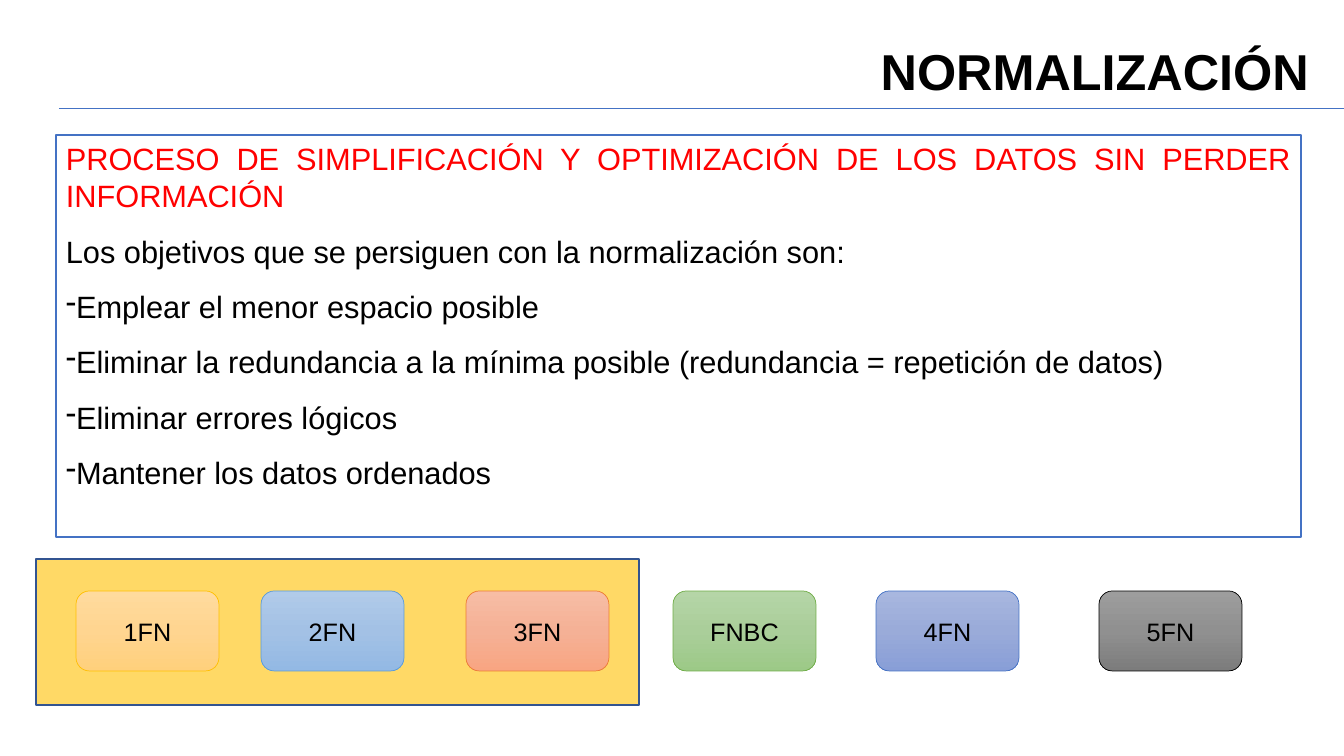
import copy

import pptx
import pptx.dml.color
import pptx.enum.shapes
import pptx.enum.text
import pptx.oxml
import pptx.oxml.ns
import pptx.util

SCALE = 914400 / 100.8
SHAPES = pptx.enum.shapes.MSO_SHAPE
ALIGN = pptx.enum.text.PP_ALIGN
ANCHOR = pptx.enum.text.MSO_ANCHOR

OBJECTIVES = [
    "Emplear el menor espacio posible",
    "Eliminar la redundancia a la mínima posible (redundancia = repetición de datos)",
    "Eliminar errores lógicos",
    "Mantener los datos ordenados",
]
NORMAL_FORMS = [
    ("1FN", 40, ("FFDB9E", "FFD590", "FFD07C"), "FFC000"),
    ("2FN", 225, ("B1CBE9", "A3C1E5", "93B9E4"), "5B9BD5"),
    ("3FN", 430, ("F7BDA5", "F5B196", "F8A582"), "ED7D31"),
    ("FNBC", 637, ("B5D5A7", "AACE9A", "9CC987"), "70AD47"),
    ("4FN", 840, ("A8B7DF", "9AABD9", "889ED7"), "4472C4"),
    ("5FN", 1063, ("9D9D9D", "909090", "7C7C7C"), "000000"),
]


def px(pixels):
    """Turn pixels into EMU."""
    return pptx.util.Emu(round(pixels * SCALE))


def color(value):
    """Turn a hex string into a colour."""
    return pptx.dml.color.RGBColor.from_string(value)


def add_box(slide, box, fill, line=None, width=1, kind=SHAPES.RECTANGLE):
    """Add a shape with a solid fill, or a vertical gradient for three colours."""
    shape = slide.shapes.add_shape(kind, *map(px, box))
    shape.shadow.inherit = False
    if isinstance(fill, str):
        shape.fill.solid()
        shape.fill.fore_color.rgb = color(fill)
    else:
        shape.fill.gradient()
        shape.fill.gradient_angle = 270
        first = shape.element.spPr.find(".//" + pptx.oxml.ns.qn("a:gs"))
        first.addnext(copy.deepcopy(first))
        for index, (stop, shade) in enumerate(zip(shape.fill.gradient_stops, fill)):
            stop.position = index / 2
            stop.color.rgb = color(shade)
    if line:
        shape.line.color.rgb = color(line)
        shape.line.width = pptx.util.Pt(width)
    else:
        shape.line.fill.background()
    return shape


def write(paragraph, text, size, align=ALIGN.LEFT, ink="000000", spacing=1.0, bold=False):
    """Fill a paragraph with one formatted run."""
    paragraph.alignment = align
    paragraph.line_spacing = spacing
    run = paragraph.add_run()
    run.text = text
    run.font.name = "Arial"
    run.font.size = pptx.util.Pt(size)
    run.font.bold = bold
    run.font.color.rgb = color(ink)


def add_heading(slide, box):
    """Add the right-aligned title and the rule beneath it."""
    left, top, width, height = box
    title = add_box(slide, box, "FFFFFF").text_frame
    title.vertical_anchor = ANCHOR.MIDDLE
    write(title.paragraphs[0], "NORMALIZACIÓN", 36, ALIGN.RIGHT, spacing=0.9, bold=True)
    rule_y = px(top + height - 1)
    rule = slide.shapes.add_connector(
        pptx.enum.shapes.MSO_CONNECTOR.STRAIGHT, px(left - 3), rule_y, px(1344), rule_y)
    rule.line.color.rgb = color("4472C4")
    rule.line.width = pptx.util.Pt(0.5)
    rule.element.spPr.append(pptx.oxml.parse_xml(
        "<a:effectLst %s/>" % pptx.oxml.ns.nsdecls("a")))


def add_objectives(slide, box):
    """Add the definition and the list of objectives."""
    frame = add_box(slide, box, "FFFFFF", "4472C4").text_frame
    frame.vertical_anchor = ANCHOR.TOP
    write(frame.paragraphs[0],
          "PROCESO DE SIMPLIFICACIÓN Y OPTIMIZACIÓN DE LOS DATOS SIN PERDER INFORMACIÓN",
          22, ALIGN.JUSTIFY, "FF0000")
    write(frame.add_paragraph(),
          "Los objetivos que se persiguen con la normalización son:", 22, spacing=1.5)
    for objective in OBJECTIVES:
        paragraph = frame.add_paragraph()
        write(paragraph, objective, 22, spacing=1.5)
        paragraph._p.get_or_add_pPr().append(pptx.oxml.parse_xml(
            '<a:buChar %s char="-"/>' % pptx.oxml.ns.nsdecls("a")))


def add_normal_forms(slide, box):
    """Add the row of normal forms inside the given box."""
    left, top, width, height = box
    for name, offset, shades, outline in NORMAL_FORMS:
        form = add_box(slide, (left + offset, top + 32, 143, height - 66), shades,
                       outline, 0.5, SHAPES.ROUNDED_RECTANGLE).text_frame
        form.vertical_anchor = ANCHOR.MIDDLE
        write(form.paragraphs[0], name, 18, ALIGN.CENTER)


def main():
    """Build and save the slide."""
    deck = pptx.Presentation()
    deck.slide_width, deck.slide_height = px(1344), px(756)
    slide = deck.slides.add_slide(deck.slide_layouts[6])
    add_box(slide, (36, 559, 603, 146), "FFD966", "325491")
    add_heading(slide, (62, 39, 1257, 70))
    add_objectives(slide, (56, 135, 1245, 402))
    add_normal_forms(slide, (36, 559, 1206, 146))
    deck.save("out.pptx")


main()
